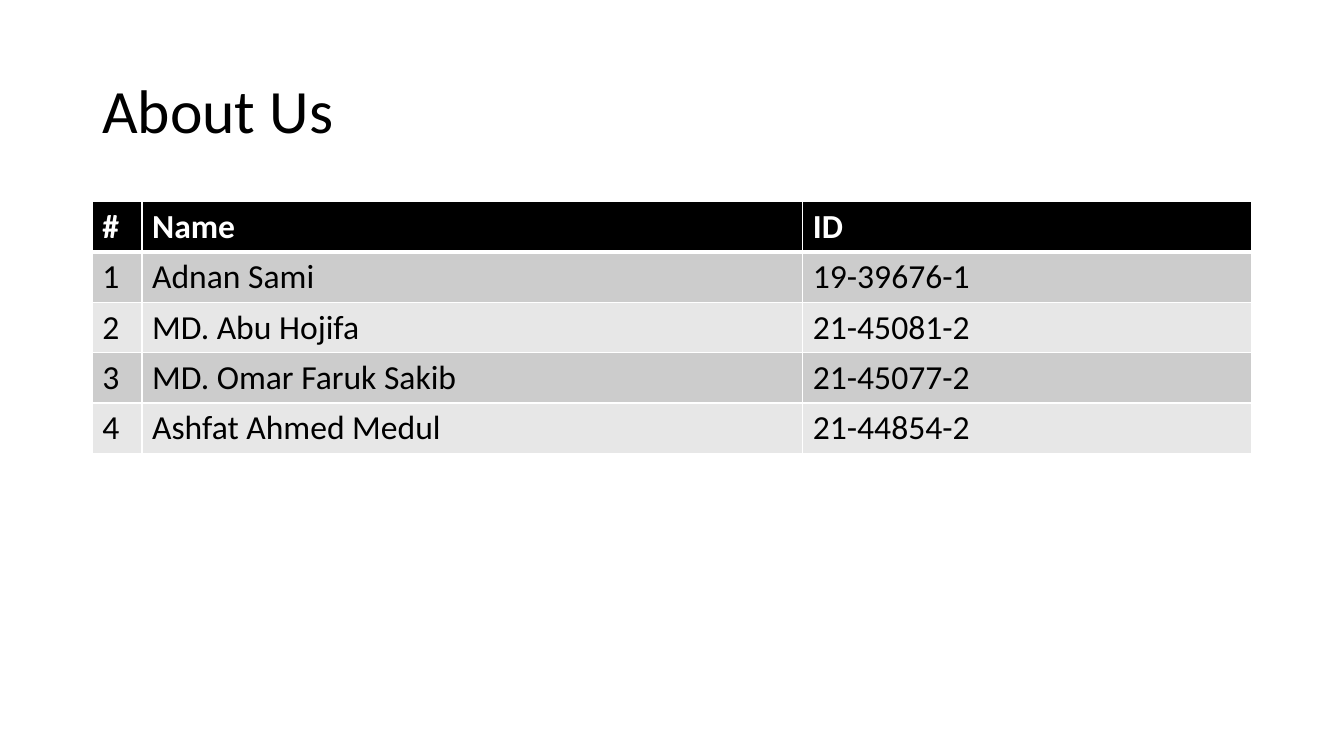
from lxml import etree
from pptx import Presentation
from pptx.dml.color import RGBColor
from pptx.enum.text import MSO_ANCHOR
from pptx.oxml.ns import qn
from pptx.util import Pt

MIDDLE = MSO_ANCHOR.MIDDLE
BLACK, WHITE = "000000", "FFFFFF"
BANDS = ["CCCCCC", "E7E7E7"]
LEFT, WIDTH = 66, 828

MEMBERS = [
    ["#", "Name", "ID"],
    ["1", "Adnan Sami", "19-39676-1"],
    ["2", "MD. Abu Hojifa", "21-45081-2"],
    ["3", "MD. Omar Faruk Sakib", "21-45077-2"],
    ["4", "Ashfat Ahmed Medul", "21-44854-2"],
]


def color(value):
    return RGBColor.from_string(value)


class SlideBuilder:
    font_name = "Calibri"

    def __init__(self, slide):
        self.slide = slide

    def add_text(self, paragraph, text, size, text_color, bold=False):
        run = paragraph.add_run()
        run.text = text
        formats = {"name": self.font_name, "size": Pt(size), "bold": bold}
        for attribute, value in formats.items():
            setattr(run.font, attribute, value)
        run.font.color.rgb = color(text_color)

    def title(self, text, left, top, width, height):
        shape = self.slide.shapes.add_textbox(Pt(left), Pt(top), Pt(width), Pt(height))
        frame = shape.text_frame
        formats = {"word_wrap": True, "vertical_anchor": MIDDLE}
        for attribute, value in formats.items():
            setattr(frame, attribute, value)
        paragraph = frame.paragraphs[0]
        paragraph.line_spacing = 0.9
        self.add_text(paragraph, text, 44, BLACK)

    def borders(self, cell, widths):
        properties = cell._tc.get_or_add_tcPr()
        for side, width in widths.items():
            line = etree.SubElement(properties, qn(f"a:ln{side}"), w=str(Pt(width)))
            fill = etree.SubElement(line, qn("a:solidFill"))
            etree.SubElement(fill, qn("a:srgbClr"), val=WHITE)

    def table(self, rows, left, top, column_widths, row_height):
        frame = self.slide.shapes.add_table(
            len(rows), len(column_widths), Pt(left), Pt(top),
            Pt(sum(column_widths)), Pt(row_height * len(rows)))
        table = frame.table
        for column, width in zip(table.columns, column_widths):
            column.width = Pt(width)
        for row_index, row in enumerate(rows):
            header = row_index == 0
            fill_color = BLACK if header else BANDS[(row_index - 1) % 2]
            widths = {"L": 1, "R": 1, "T": 3 if row_index == 1 else 1, "B": 3 if header else 1}
            for column_index, text in enumerate(row):
                cell = table.cell(row_index, column_index)
                self.borders(cell, widths)
                cell.fill.solid()
                cell.fill.fore_color.rgb = color(fill_color)
                text_color = WHITE if header else BLACK
                self.add_text(cell.text_frame.paragraphs[0], text, 24, text_color, header)


def main():
    presentation = Presentation()
    presentation.slide_width = Pt(960)
    presentation.slide_height = Pt(540)
    slide = presentation.slides.add_slide(presentation.slide_layouts[6])
    builder = SlideBuilder(slide)
    builder.title("About Us", LEFT, 28.75, WIDTH, 104.4)
    number_width, name_width = 35.5, 472
    id_width = WIDTH - number_width - name_width
    builder.table(MEMBERS, LEFT, 143.75, [number_width, name_width, id_width], 36)
    presentation.save("out.pptx")


if __name__ == "__main__":
    main()
